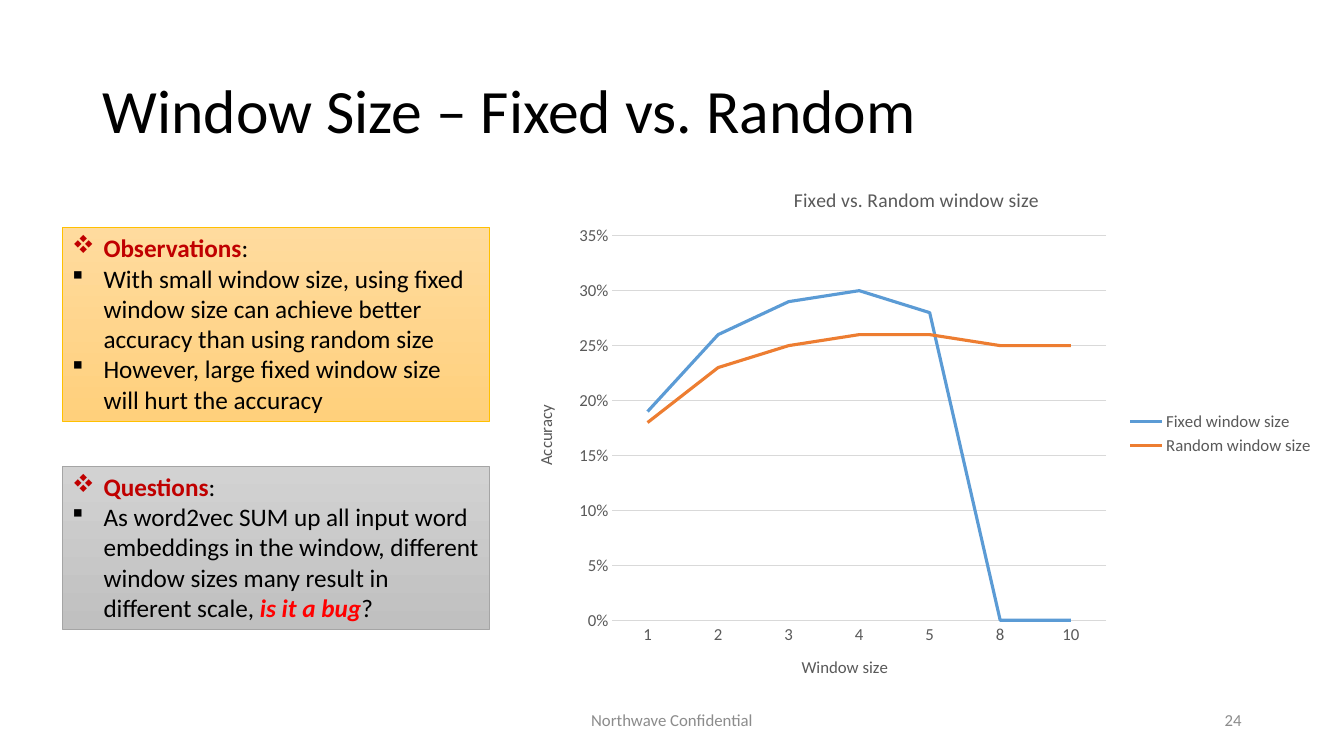
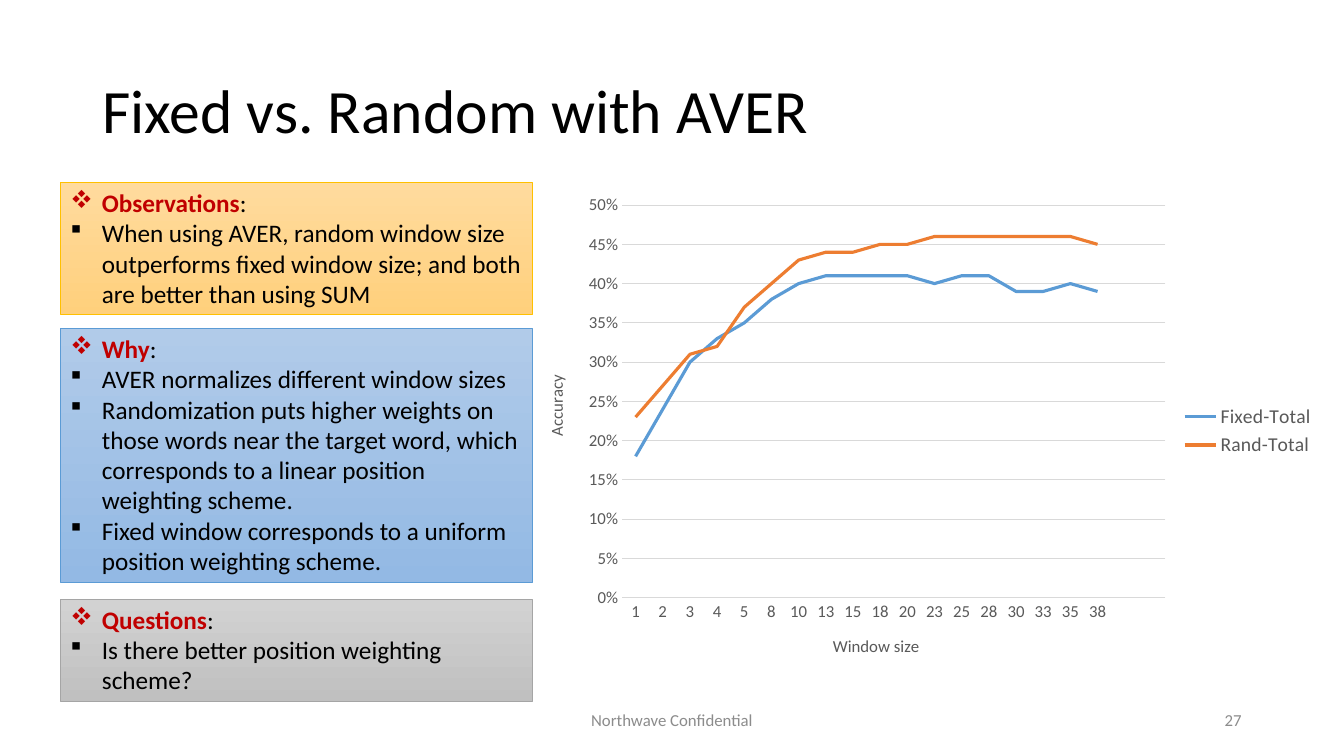
from dataclasses import dataclass
from typing import Optional

from lxml.etree import SubElement as Sub
from pptx import Presentation
from pptx.chart.data import CategoryChartData as Data
from pptx.dml.color import RGBColor as RGB
from pptx.enum.chart import XL_CHART_TYPE as Kind
from pptx.enum.chart import XL_LEGEND_POSITION as Side
from pptx.enum.chart import XL_TICK_MARK as Tick
from pptx.enum.shapes import MSO_SHAPE as Shape
from pptx.enum.text import MSO_ANCHOR as Anchor
from pptx.enum.text import MSO_AUTO_SIZE as Fit
from pptx.enum.text import PP_ALIGN as Align
from pptx.oxml.ns import qn
from pptx.util import Pt

FONT = "Calibri"
BLACK = RGB(0x00, 0x00, 0x00)
RED = RGB(0xFF, 0x00, 0x00)
CRIMSON = RGB(0xC0, 0x00, 0x00)
MUTED = RGB(0x8C, 0x8C, 0x8C)
SLATE = RGB(0x59, 0x59, 0x59)
RULE = RGB(0xD9, 0xD9, 0xD9)
BLUE = RGB(0x5B, 0x9B, 0xD5)
ORANGE = RGB(0xED, 0x7D, 0x31)
INDENT = 22.5

# Wingdings codes for the diamond and the small square
DIAMOND, SQUARE = "v", "§"


@dataclass(frozen=True)
class Tone:
    top: RGB
    base: RGB
    edge: RGB


GOLD = Tone(RGB(0xFF, 0xDB, 0x9E), RGB(0xFF, 0xD0, 0x7C), RGB(0xFF, 0xC0, 0x00))
GRAY = Tone(RGB(0xD2, 0xD2, 0xD2), RGB(0xC0, 0xC0, 0xC0), RGB(0xA5, 0xA5, 0xA5))
SKY = Tone(RGB(0xB1, 0xCB, 0xE9), RGB(0x93, 0xB9, 0xE4), BLUE)


@dataclass(frozen=True)
class Span:
    text: str
    color: RGB = BLACK
    bold: bool = False
    slant: bool = False


@dataclass(frozen=True)
class Box:
    head: str
    tone: Tone
    top: float
    height: float
    points: tuple[tuple[Span, ...], ...]


@dataclass(frozen=True)
class Plot:
    area: tuple[float, float, float, float]
    inner: tuple[float, float, float, float]
    xspot: tuple[float, float]
    yspot: tuple[float, float]
    peak: float
    key: int
    cats: list[str]
    rows: dict[str, list[Optional[float]]]
    title: str = ""
    spot: tuple[float, float] = (0, 0)


@dataclass(frozen=True)
class Page:
    title: str
    number: int
    left: float
    width: float
    boxes: tuple[Box, ...]
    plot: Plot


def style(font, size: float, color: RGB, bold: bool = False, slant: bool = False) -> None:
    font.name, font.size = FONT, Pt(size)
    font.bold, font.italic = bold, slant
    font.color.rgb = color


def label(slide, text: str, area: tuple, size: float, color: RGB, align=Align.LEFT) -> None:
    frame = slide.shapes.add_textbox(*map(Pt, area)).text_frame
    frame.word_wrap = True
    frame.vertical_anchor = Anchor.MIDDLE
    frame.text = text
    para = frame.paragraphs[0]
    para.alignment = align
    para.line_spacing = 0.9
    style(para.runs[0].font, size, color)


def bullet(para, mark: str) -> None:
    props = para._p.get_or_add_pPr()
    props.set("marL", str(Pt(INDENT)))
    props.set("indent", str(-Pt(INDENT)))
    face = Sub(props, qn("a:buFont"))
    face.set("typeface", "Wingdings")
    face.set("charset", "2")
    Sub(props, qn("a:buChar")).set("char", mark)


def panel(slide, page: Page, box: Box) -> None:
    area = (page.left, box.top, page.width, box.height)
    shape = slide.shapes.add_shape(Shape.RECTANGLE, *map(Pt, area))
    shape.shadow.inherit = False
    shape.fill.gradient()
    shape.fill.gradient_angle = 270
    for stop, color, place in zip(shape.fill.gradient_stops, (box.tone.top, box.tone.base), (0, 1)):
        stop.color.rgb, stop.position = color, place
    shape.line.color.rgb, shape.line.width = box.tone.edge, Pt(0.5)

    # Red heading, then the points
    frame = shape.text_frame
    frame.word_wrap, frame.auto_size = True, Fit.SHAPE_TO_FIT_TEXT
    frame.vertical_anchor = Anchor.TOP
    head = (Span(box.head, CRIMSON, True), Span(":"))
    for i, spans in enumerate((head, *box.points)):
        para = frame.add_paragraph() if i else frame.paragraphs[0]
        para.alignment = Align.LEFT
        bullet(para, SQUARE if i else DIAMOND)
        for span in spans:
            run = para.add_run()
            run.text = span.text
            style(run.font, 18, span.color, span.bold, span.slant)


def place(node, index: int, spot: tuple, inner: bool = False) -> None:
    """Fix the place of a chart part, as shares of the chart size."""
    for old in node.findall(qn("c:layout")):
        node.remove(old)
    layout = node.makeelement(qn("c:layout"))
    node.insert(index, layout)
    manual = Sub(layout, qn("c:manualLayout"))
    if inner:
        Sub(manual, qn("c:layoutTarget")).set("val", "inner")
    for side in ("x", "y"):
        Sub(manual, qn(f"c:{side}Mode")).set("val", "edge")
    for side, share in zip("xywh", spot):
        Sub(manual, qn(f"c:{side}")).set("val", str(share))


def name(title, text: str, size: float, spot: tuple) -> None:
    title.text_frame.text = text
    style(title.text_frame.paragraphs[0].runs[0].font, size, SLATE)
    place(title._element, 1, spot)


def graph(slide, plot: Plot) -> None:
    data = Data(number_format="0%")
    data.categories = plot.cats
    for key, vals in plot.rows.items():
        data.add_series(key, vals)
    chart = slide.shapes.add_chart(Kind.LINE, *map(Pt, plot.area), data).chart
    style(chart.font, 10, BLACK)
    chart.has_title = bool(plot.title)
    if plot.title:
        name(chart.chart_title, plot.title, 14, plot.spot)
    place(chart._chartSpace.chart.plotArea, 0, plot.inner, True)

    # Lines
    chart.plots[0].vary_by_categories = False
    for row, color in zip(chart.plots[0].series, (BLUE, ORANGE)):
        row.smooth = False
        row.format.line.color.rgb = color
        row.format.line.width = Pt(2.25)

    # Axes
    xaxis, yaxis = chart.category_axis, chart.value_axis
    for axis, text, spot in ((xaxis, "Window size", plot.xspot), (yaxis, "Accuracy", plot.yspot)):
        axis.major_tick_mark = axis.minor_tick_mark = Tick.NONE
        style(axis.tick_labels.font, 12, SLATE)
        name(axis.axis_title, text, 12, spot)
    yaxis.minimum_scale, yaxis.maximum_scale, yaxis.major_unit = 0, plot.peak, 0.05
    yaxis.tick_labels.number_format = "0%"
    yaxis.tick_labels.number_format_is_linked = False
    yaxis.format.line.fill.background()
    for line in (xaxis.format.line, yaxis.major_gridlines.format.line):
        line.color.rgb, line.width = RULE, Pt(0.75)

    # Legend
    chart.has_legend = True
    chart.legend.position = Side.RIGHT
    chart.legend.include_in_layout = False
    style(chart.legend.font, plot.key, SLATE)


def draw(deck, page: Page) -> None:
    slide = deck.slides.add_slide(deck.slide_layouts[6])
    label(slide, page.title, (66.2, 28.8, 828, 104.4), 44, BLACK)
    label(slide, "Northwave Confidential", (318, 501, 324, 28.8), 12, MUTED, Align.CENTER)
    label(slide, str(page.number), (678, 501, 216, 28.8), 12, MUTED, Align.RIGHT)
    graph(slide, page.plot)
    for box in page.boxes:
        panel(slide, page, box)


PAGES = (
    Page(
        "Window Size – Fixed vs. Random", 24, 44.4, 305.3,
        (
            Box("Observations", GOLD, 162.7, 138.2, (
                (Span("With small window size, using fixed window size can achieve "
                      "better accuracy than using random size"),),
                (Span("However, large fixed window size will hurt the accuracy"),),
            )),
            Box("Questions", GRAY, 333, 116.6, (
                (Span("As word2vec SUM up all input word embeddings in the window, "
                      "different window sizes many result in different scale, "),
                 Span("is it a bug", RED, True, True), Span("?")),
            )),
        ),
        Plot(
            (368, 118.8, 578.2, 381.6), (0.12, 0.13, 0.61, 0.72),
            (0.35, 0.91), (0.02, 0.44), 0.35, 12,
            ["1", "2", "3", "4", "5", "8", "10"],
            {
                "Fixed window size": [0.19, 0.26, 0.29, 0.3, 0.28, 0, 0],
                "Random window size": [0.18, 0.23, 0.25, 0.26, 0.26, 0.25, 0.25],
            },
            "Fixed vs. Random window size", (0.34, 0.03),
        ),
    ),
    Page(
        "Fixed vs. Random with AVER", 27, 43.2, 337,
        (
            Box("Observations", GOLD, 130.3, 94.3, (
                (Span("When using AVER, random window size outperforms fixed window "
                      "size; and both are better than using SUM"),),
            )),
            Box("Why", SKY, 234.7, 181.4, (
                (Span("AVER normalizes different window sizes"),),
                (Span("Randomization puts higher weights on those words near the target "
                      "word, which corresponds to a linear position weighting scheme."),),
                (Span("Fixed window corresponds to a uniform position weighting scheme."),),
            )),
            Box("Questions", GRAY, 428, 72.7, (
                (Span("Is there better position weighting scheme?"),),
            )),
        ),
        Plot(
            (375.8, 132.5, 571, 350.6), (0.12, 0.04, 0.68, 0.8),
            (0.38, 0.91), (0.02, 0.38), 0.5, 14,
            ["1", "2", "3", "4", "5", "8", "10", "13", "15", "18",
             "20", "23", "25", "28", "30", "33", "35", "38", "", ""],
            {
                "Fixed-Total": [0.18, 0.24, 0.3, 0.33, 0.35, 0.38, 0.4, 0.41, 0.41, 0.41,
                                0.41, 0.4, 0.41, 0.41, 0.39, 0.39, 0.4, 0.39, None, None],
                "Rand-Total": [0.23, 0.27, 0.31, 0.32, 0.37, 0.4, 0.43, 0.44, 0.44, 0.45,
                               0.45, 0.46, 0.46, 0.46, 0.46, 0.46, 0.46, 0.45, None, None],
            },
        ),
    ),
)


def main() -> None:
    deck = Presentation()
    deck.slide_width, deck.slide_height = Pt(960), Pt(540)
    for page in PAGES:
        draw(deck, page)
    deck.save("out.pptx")


if __name__ == "__main__":
    main()
